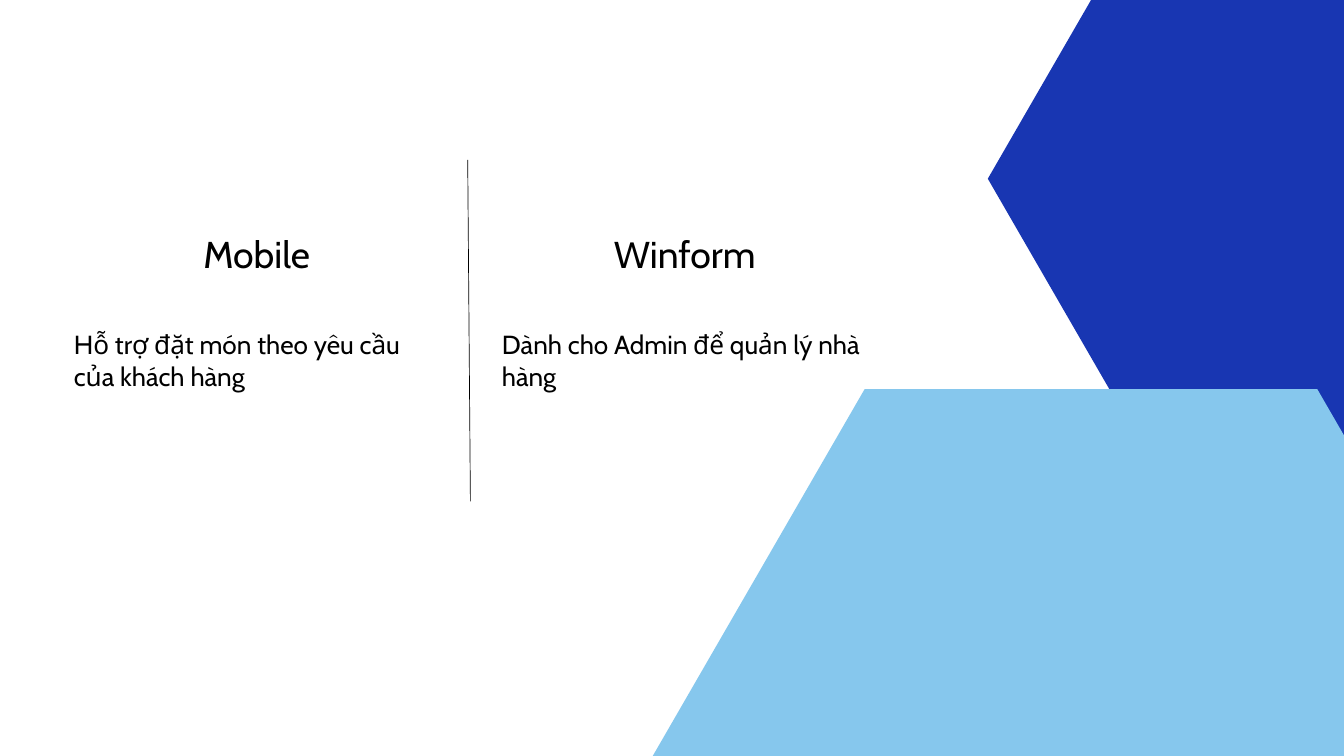
from lxml.etree import SubElement
from pptx import Presentation
from pptx.dml.color import RGBColor
from pptx.enum.shapes import MSO_CONNECTOR as Connector
from pptx.enum.text import MSO_AUTO_SIZE as AutoSize, PP_ALIGN as Align
from pptx.oxml.ns import qn
from pptx.util import Inches, Pt

WHITE = RGBColor(0xFF, 0xFF, 0xFF)
BLACK = RGBColor(0x00, 0x00, 0x00)
NAVY = RGBColor(0x18, 0x36, 0xB2)
SKY = RGBColor(0x86, 0xC7, 0xED)
FONT = "Cabin"


def add_text(slide, text, left, top, width, height, *, size, line_height, align=Align.LEFT):
    box = slide.shapes.add_textbox(Inches(left), Inches(top), Inches(width), Inches(height))
    frame = box.text_frame
    frame.word_wrap = True
    frame.auto_size = AutoSize.SHAPE_TO_FIT_TEXT
    frame.margin_left = frame.margin_top = frame.margin_right = frame.margin_bottom = 0
    paragraph = frame.paragraphs[0]
    paragraph.alignment = align
    paragraph.line_spacing = Pt(line_height)
    run = paragraph.add_run()
    run.text = text
    run.font.name = FONT
    run.font.size = Pt(size)
    run.font.color.rgb = BLACK


def add_hexagon(slide, left, top, width, height, color):
    right, bottom, middle = left + width, top + height, top + height / 2
    inset = width / 4
    corners = [
        (right - inset, top), (left + inset, top), (left, middle),
        (left + inset, bottom), (right - inset, bottom), (right, middle),
    ]
    points = [(Inches(x), Inches(y)) for x, y in corners]
    builder = slide.shapes.build_freeform(*points[0])
    builder.add_line_segments(points[1:], close=True)
    hexagon = builder.convert_to_shape()
    hexagon.shadow.inherit = False
    hexagon.fill.solid()
    hexagon.fill.fore_color.rgb = color
    hexagon.line.fill.background()


def add_platform(slide, left, top, width, title, description):
    add_text(slide, description, left, top + 1.18, width, 1.48, size=28, line_height=33.6)
    add_text(slide, title, left, top, width, 0.72, size=40, line_height=28.8, align=Align.CENTER)


def add_divider(slide, left, top, width, height):
    divider = slide.shapes.add_connector(
        Connector.STRAIGHT,
        Inches(left), Inches(top), Inches(left + width), Inches(top + height),
    )
    divider.line.color.rgb = BLACK
    divider.line.width = Pt(0.75)
    SubElement(divider.element.spPr, qn("a:effectLst"))


def main():
    deck = Presentation()
    deck.slide_width, deck.slide_height = Inches(20), Inches(11.25)
    slide = deck.slides.add_slide(deck.slide_layouts[6])
    slide.background.fill.solid()
    slide.background.fill.fore_color.rgb = WHITE

    for left, top, color in [(14.7, -3.17, NAVY), (9.5, 5.79, SKY)]:
        add_hexagon(slide, left, top, 13.47, 11.66, color)

    platforms = [
        (1.1, "Mobile", "Hỗ trợ đặt món theo yêu cầu của khách hàng"),
        (7.47, "Winform", "Dành cho Admin để quản lý nhà hàng"),
    ]
    for left, title, description in platforms:
        add_platform(slide, left, 3.71, 5.44, title, description)

    add_divider(slide, 6.96, 2.38, 0.04, 5.08)
    deck.save("out.pptx")


if __name__ == "__main__":
    main()
